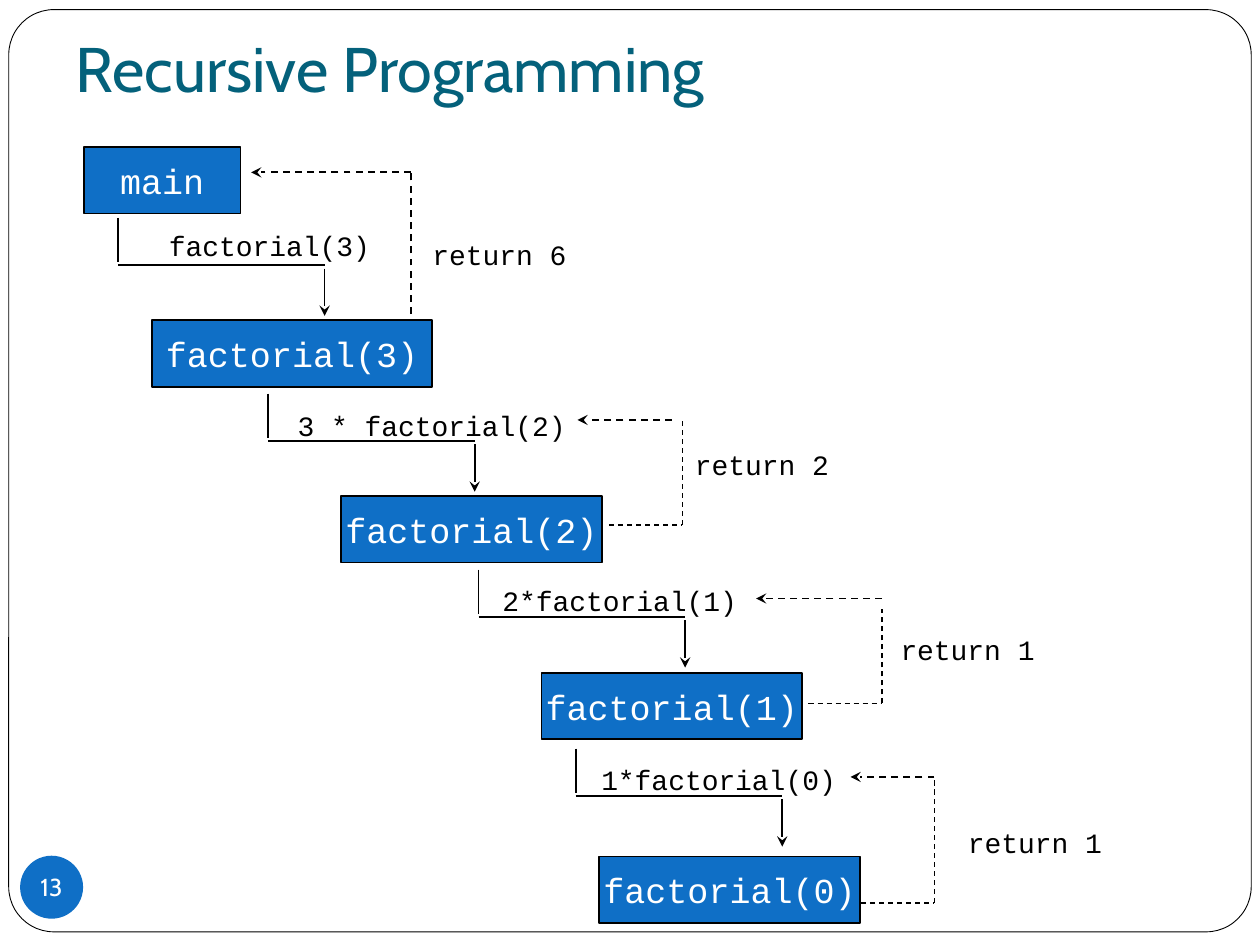
from lxml import etree
from pptx import Presentation
from pptx.dml.color import RGBColor
from pptx.enum.dml import MSO_LINE
from pptx.enum.shapes import MSO_CONNECTOR, MSO_SHAPE
from pptx.enum.text import MSO_ANCHOR, MSO_AUTO_SIZE, PP_ALIGN
from pptx.oxml.ns import qn
from pptx.util import Pt

STRAIGHT = MSO_CONNECTOR.STRAIGHT
RECT, ROUNDED, OVAL = MSO_SHAPE.RECTANGLE, MSO_SHAPE.ROUNDED_RECTANGLE, MSO_SHAPE.OVAL
TOP, MIDDLE, BOTTOM = MSO_ANCHOR.TOP, MSO_ANCHOR.MIDDLE, MSO_ANCHOR.BOTTOM
LEFT, CENTER = PP_ALIGN.LEFT, PP_ALIGN.CENTER
DASH = MSO_LINE.DASH

BLUE, TEAL, BLACK, WHITE = "0F6FC6", "04617B", "000000", "FFFFFF"
SANS, MONO = "Cabin", "Courier New"
BOX_HEIGHT, LABEL_HEIGHT = 38, 26.5
CHAR_WIDTH, LABEL_INSETS = 9.6, 14.4  # 16 pt monospaced text

# Text, left, top, width
FRAMES = [
    ("main", 48, 84, 89.5),
    ("factorial(3)", 87, 183, 160),
    ("factorial(2)", 195, 283.5, 149),
    ("factorial(1)", 309.5, 384.5, 149),
    ("factorial(0)", 342.5, 489.5, 149),
]
# Text, label position, start of the stepped arrow
CALLS = [
    ("factorial(3)", (89.5, 127), (67.5, 124.5)),
    ("3 * factorial(2)", (163, 230), (153.25, 225)),
    ("2*factorial(1)", (280, 330), (273.5, 325.5)),
    ("1*factorial(0)", (336.5, 432), (329, 427.75)),
]
# Text, label position, thin dashed route, arrow start, arrow end
RETURNS = [
    ("return 2", (390, 252), [(348, 300), (390, 300), (390, 240)], (384, 240), (330, 240)),
    ("return 1", (507.5, 358), [(462, 402), (504, 402), (504, 348)], (504, 342), (432, 342)),
    ("return 1", (546, 468), [(492, 516), (534, 516), (534, 444)], (534, 444), (486, 444)),
]


def color(hex_string):
    return RGBColor.from_string(hex_string)


def write(shape, text, *, size, font=MONO, ink=BLACK, align=LEFT, anchor=TOP, wrap=False):
    frame = shape.text_frame
    frame.word_wrap = wrap
    frame.auto_size = MSO_AUTO_SIZE.NONE
    frame.vertical_anchor = anchor
    para = frame.paragraphs[0]
    para.alignment = align
    span = para.add_run()
    span.text = text
    span.font.size = Pt(size)
    span.font.name = font
    span.font.color.rgb = color(ink)


def add_box(page, kind, left, top, width, height, fill, line_width=None):
    box = page.shapes.add_shape(kind, Pt(left), Pt(top), Pt(width), Pt(height))
    box.shadow.inherit = False
    box.fill.solid()
    box.fill.fore_color.rgb = color(fill)
    if line_width:
        box.line.color.rgb = color(BLACK)
        box.line.width = Pt(line_width)
    else:
        box.line.fill.background()
    return box


def add_label(page, text, left, top):
    width = len(text) * CHAR_WIDTH + LABEL_INSETS
    label = page.shapes.add_textbox(Pt(left), Pt(top), Pt(width), Pt(LABEL_HEIGHT))
    write(label, text, size=16)


def add_line(page, start, end, width=1, dashed=False, arrow=False):
    line = page.shapes.add_connector(STRAIGHT, *(Pt(value) for value in (*start, *end)))
    line.line.color.rgb = color(BLACK)
    line.line.width = Pt(width)
    if dashed:
        line.line.dash_style = DASH
    properties = line.element.spPr
    if arrow:
        etree.SubElement(properties.find(qn("a:ln")), qn("a:tailEnd"), type="stealth")
    etree.SubElement(properties, qn("a:effectLst"))


def add_call(page, text, label_at, start):
    """Labelled arrow that steps down, right and down again."""
    x, y = start
    right = x + 118
    add_line(page, (x, y), (x, y + 25.5))
    add_line(page, (x, y + 27), (right, y + 27))
    add_line(page, (right, y + 29), (right, y + 56), arrow=True)
    add_label(page, text, *label_at)


def add_return(page, text, label_at, route, arrow_start, arrow_end, route_width=0.75):
    """Labelled dashed route that ends in an arrow back to the caller."""
    for start, end in zip(route, route[1:]):
        add_line(page, start, end, route_width, dashed=True)
    add_line(page, arrow_start, arrow_end, dashed=True, arrow=True)
    add_label(page, text, *label_at)


def add_title(page, text):
    title = page.shapes.title
    title.left, title.top, title.width, title.height = Pt(36), Pt(21.5), Pt(648), Pt(42)
    write(title, text, size=36, font=SANS, ink=TEAL, anchor=BOTTOM, wrap=True)


def add_border(page):
    border = add_box(page, ROUNDED, 5, 5.5, 710, 527, WHITE, 0.5)
    border.adjustments[0] = 0.049
    page.shapes.title.element.addprevious(border.element)  # behind the title


def add_page_number(page, text):
    badge = add_box(page, OVAL, 11.5, 489, 36, 36, BLUE)
    frame = badge.text_frame
    frame.margin_left = frame.margin_right = frame.margin_top = frame.margin_bottom = 0
    write(badge, text, size=14, font=SANS, ink=WHITE, align=CENTER, anchor=MIDDLE)


def main():
    deck = Presentation()
    deck.slide_width, deck.slide_height = Pt(720), Pt(540)
    page = deck.slides.add_slide(deck.slide_layouts[5])

    # Page furniture
    add_border(page)
    add_title(page, "Recursive Programming")
    add_page_number(page, "13")

    # Call stack
    for text, left, top, width in FRAMES:
        box = add_box(page, RECT, left, top, width, BOX_HEIGHT, BLUE, 1)
        write(box, text, size=20, ink=WHITE, align=CENTER, anchor=MIDDLE)

    # Calls going down
    for call in CALLS:
        add_call(page, *call)

    # Returns going back up
    corner = (235, 98.5)
    add_return(page, "return 6", (240, 132), [(235, 179.5), corner], corner, (143.5, 98.5),
               route_width=1)
    for result in RETURNS:
        add_return(page, *result)

    deck.save("out.pptx")


if __name__ == "__main__":
    main()
